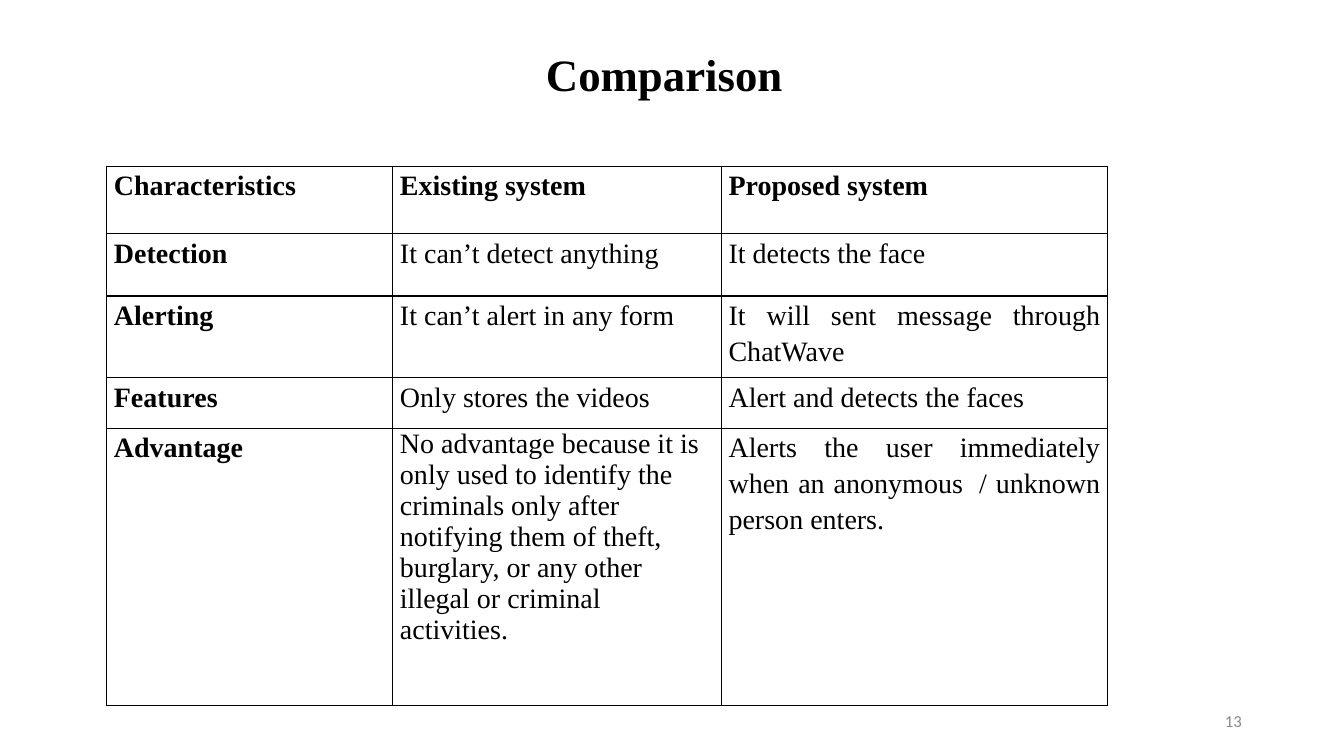
from dataclasses import dataclass

from lxml import etree
from pptx import Presentation
from pptx.dml.color import RGBColor
from pptx.enum import text as t
from pptx.oxml import ns
from pptx.util import Cm, Pt

BLACK = RGBColor(0x00, 0x00, 0x00)
WHITE = RGBColor(0xFF, 0xFF, 0xFF)
GREY = RGBColor(0x89, 0x89, 0x89)
SERIF = "Times New Roman"
COLUMN_WIDTHS = (7.21, 8.28, 9.73)


@dataclass(frozen=True)
class ComparisonRow:
    height: float
    texts: tuple[str, str, str]
    header: bool = False


ROWS = (
    ComparisonRow(1.7, ("Characteristics", "Existing system", "Proposed system"), header=True),
    ComparisonRow(1.57, ("Detection", "It can’t detect anything", "It detects the face")),
    ComparisonRow(2.06, ("Alerting ", "It can’t alert in any form",
                         "It will sent message through ChatWave")),
    ComparisonRow(1.27, ("Features", "Only stores the videos", "Alert and detects the faces")),
    ComparisonRow(6.99, (
        "Advantage",
        "No advantage because it is only used to identify the criminals only after "
        "notifying them of theft, burglary, or any other illegal or criminal activities.",
        "Alerts the user immediately when an anonymous\u00a0 / unknown person enters.",
    )),
)
RAGGED_CELL = (4, 1)


def format_span(span, size: float, color: RGBColor, name: str = SERIF, bold: bool = False) -> None:
    span.font.name = name
    span.font.size = Pt(size)
    span.font.bold = bold
    span.font.color.rgb = color


def add_borders(cell) -> None:
    properties = cell._tc.get_or_add_tcPr()
    for position, side in enumerate(("lnL", "lnR", "lnT", "lnB")):
        line = etree.Element(ns.qn(f"a:{side}"), w=str(Pt(1)))
        fill = etree.SubElement(line, ns.qn("a:solidFill"))
        etree.SubElement(fill, ns.qn("a:srgbClr"), val=str(BLACK))
        properties.insert(position, line)


def fill_cell(cell, words: str, bold: bool, justified: bool) -> None:
    cell.fill.solid()
    cell.fill.fore_color.rgb = WHITE
    add_borders(cell)
    cell.margin_left = cell.margin_right = Cm(0.18)
    cell.margin_top = cell.margin_bottom = 0
    cell.text_frame.text = words
    para = cell.text_frame.paragraphs[0]
    if justified:
        para.alignment = t.PP_ALIGN.JUSTIFY
        para.line_spacing = 1.15
    format_span(para.runs[0], 20, BLACK, bold=bold)


def add_title(page) -> None:
    title = page.shapes.title
    title.left, title.top, title.width, title.height = Cm(2.33), Cm(0.3), Cm(29.21), Cm(3.02)
    frame = title.text_frame
    frame.text = "Comparison"
    frame.auto_size = t.MSO_AUTO_SIZE.NONE
    frame.vertical_anchor = t.MSO_ANCHOR.MIDDLE
    para = frame.paragraphs[0]
    para.alignment = t.PP_ALIGN.CENTER
    para.line_spacing = 0.9
    format_span(para.runs[0], 32, BLACK, bold=True)
    space = para.add_run()
    space.text = " "
    format_span(space, 44, BLACK)


def add_comparison(page) -> None:
    table = page.shapes.add_table(
        len(ROWS), len(COLUMN_WIDTHS), Cm(2.69), Cm(4.19),
        Cm(sum(COLUMN_WIDTHS)), Cm(sum(row.height for row in ROWS))).table
    for column, width in zip(table.columns, COLUMN_WIDTHS):
        column.width = Cm(width)
    for r, row in enumerate(ROWS):
        table.rows[r].height = Cm(row.height)
        for c, words in enumerate(row.texts):
            fill_cell(table.cell(r, c), words, row.header or c == 0, (r, c) != RAGGED_CELL)


def add_page_number(page) -> None:
    box = page.shapes.add_textbox(Cm(23.93), Cm(17.65), Cm(7.62), Cm(1.02))
    frame = box.text_frame
    frame.word_wrap = True
    frame.vertical_anchor = t.MSO_ANCHOR.MIDDLE
    frame.text = "13"
    para = frame.paragraphs[0]
    para.alignment = t.PP_ALIGN.RIGHT
    format_span(para.runs[0], 12, GREY, "Calibri")


def main() -> None:
    deck = Presentation()
    deck.slide_width, deck.slide_height = Cm(33.87), Cm(19.05)
    page = deck.slides.add_slide(deck.slide_layouts.get_by_name("Title Only"))
    add_title(page)
    add_comparison(page)
    add_page_number(page)
    deck.save("out.pptx")


if __name__ == "__main__":
    main()
